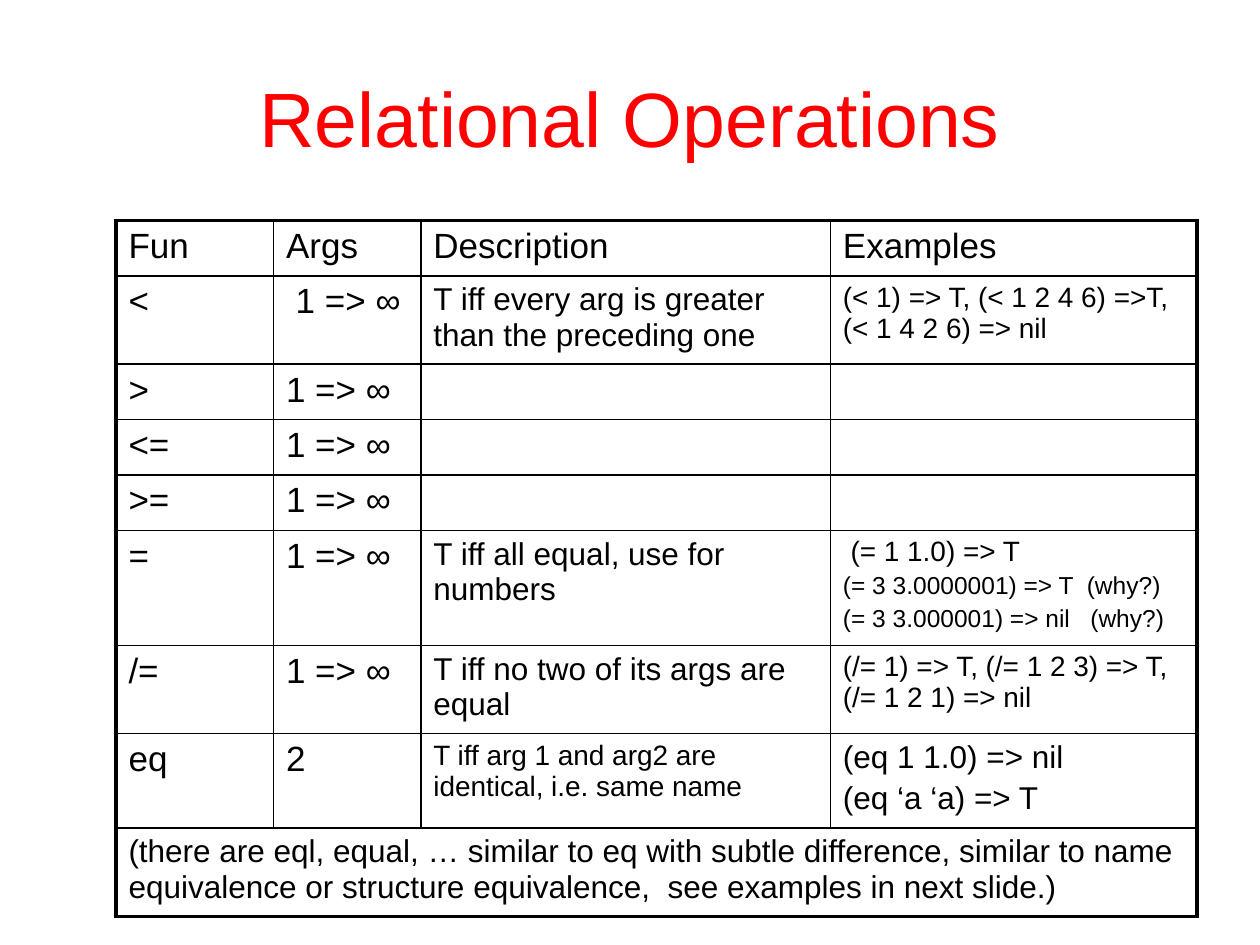
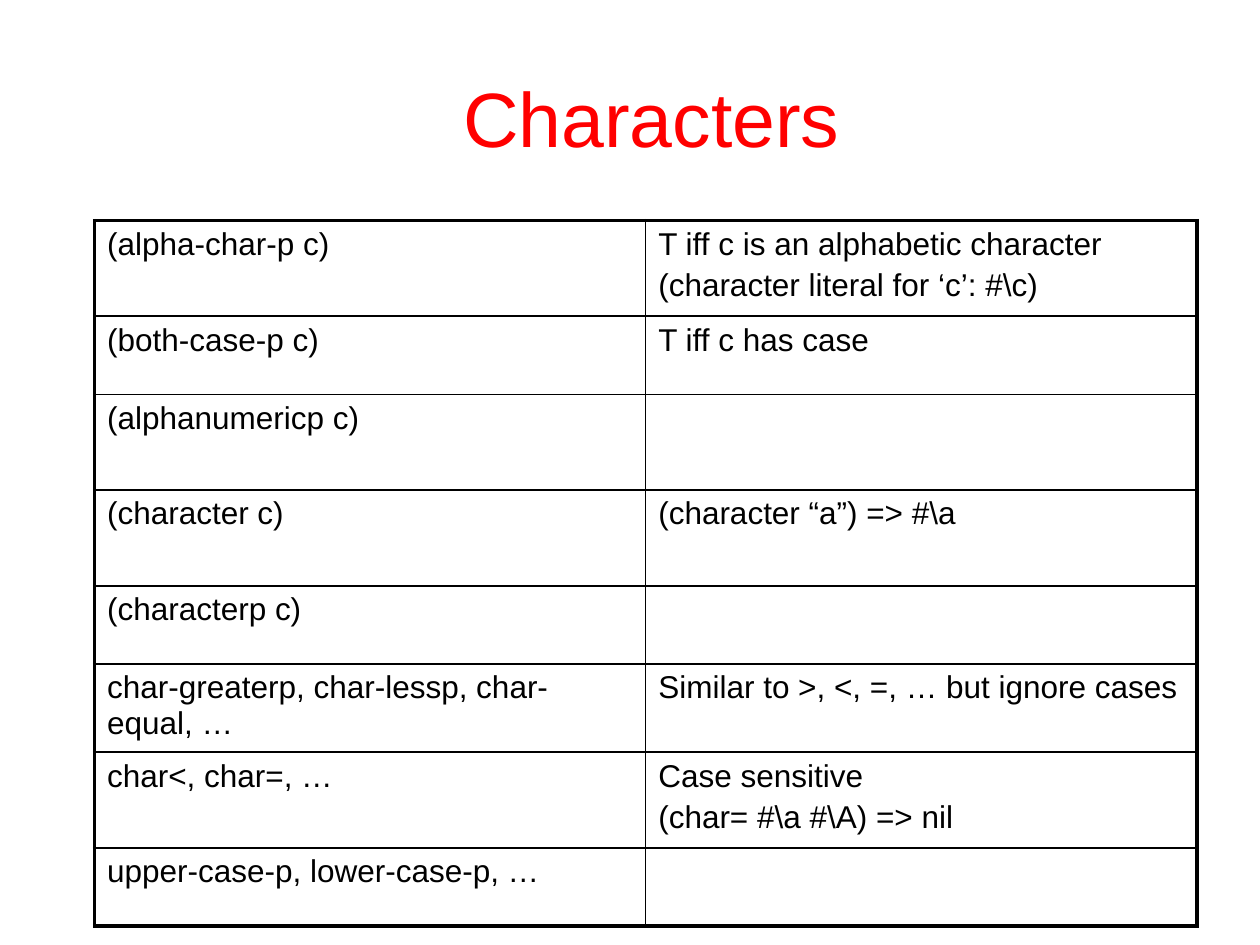
"""Build two slides of Lisp reference tables: relational operations and characters."""
from dataclasses import dataclass

from lxml import etree
from pptx import Presentation
from pptx import util as u
from pptx.dml.color import RGBColor
from pptx.enum import text
from pptx.oxml import ns


@dataclass(frozen=True)
class Theme:
    font: str = "Arial"
    title_color: str = "FF0000"
    ink: str = "000000"
    title: int = 44
    large: int = 20
    body: int = 18
    small: int = 16
    tiny: int = 14
    outer_line: float = 2.25
    inner_line: float = 1


theme = Theme()


def write_paragraph(paragraph, content, size, color):
    run = paragraph.add_run()
    run.text = content
    formats = {"name": theme.font, "size": u.Pt(size)}
    for name, value in formats.items():
        setattr(run.font, name, value)
    run.font.color.rgb = RGBColor.from_string(color)


def draw_borders(cell, edges):
    properties = cell._tc.get_or_add_tcPr()
    for position, (side, is_outer) in enumerate(edges.items()):
        width = theme.outer_line if is_outer else theme.inner_line
        line = etree.Element(ns.qn(f"a:ln{side}"), w=str(u.Pt(width)))
        fill = etree.SubElement(line, ns.qn("a:solidFill"))
        etree.SubElement(fill, ns.qn("a:srgbClr"), val=theme.ink)
        properties.insert(position, line)


any_count = "1 => ∞"
relational_rows = [
    ["Fun", "Args", "Description", "Examples"],
    ["<", " " + any_count,
     [(theme.body, "T iff every arg is greater than the preceding one")],
     [(theme.small, "(< 1) => T, (< 1 2 4 6) =>T, (< 1 4 2 6) => nil")]],
    [">", any_count, "", ""],
    ["<=", any_count, "", ""],
    [">=", any_count, "", ""],
    ["=", any_count,
     [(theme.body, "T iff all equal, use for numbers")],
     [(theme.small, " (= 1 1.0) => T"),
      (theme.tiny, "(= 3 3.0000001) => T  (why?)"),
      (theme.tiny, "(= 3 3.000001) => nil   (why?)")]],
    ["/=", any_count,
     [(theme.body, "T iff no two of its args are equal")],
     [(theme.small, "(/= 1) => T, (/= 1 2 3) => T, (/= 1 2 1) => nil")]],
    ["eq", "2",
     [(theme.small, "T iff arg 1 and arg2 are identical, i.e. same name")],
     [(theme.body, "(eq 1 1.0) => nil"), (theme.body, "(eq ‘a ‘a) => T")]],
    [[(theme.body, "(there are eql, equal, … similar to eq with subtle difference, "
       "similar to name equivalence or structure equivalence,  "
       "see examples in next slide.)")]],
]
character_rows = [
    ["(alpha-char-p c)",
     [(theme.body, "T iff c is an alphabetic character"),
      (theme.body, "(character literal for ‘c’: #\\c)")]],
    ["(both-case-p c)", "T iff c has case"],
    ["(alphanumericp c)", ""],
    ["(character c)", "(character “a”) => #\\a"],
    ["(characterp c)", ""],
    ["char-greaterp, char-lessp, char-equal, …", "Similar to >, <, =, … but ignore cases"],
    ["char<, char=, …",
     [(theme.body, "Case sensitive"), (theme.body, "(char= #\\a #\\A) => nil")]],
    ["upper-case-p, lower-case-p, …", ""],
]
pages = [
    {"title": "Relational Operations", "title_indent": 0, "left": 0.92,
     "widths": [1.25, 1.17, 3.25, 2.91], "size": theme.large, "rows": relational_rows,
     "heights": [0.44, 0.66, 0.44, 0.44, 0.44, 0.86, 0.66, 0.71, 0.66]},
    {"title": "Characters", "title_indent": 0.34, "left": 0.75,
     "widths": [4.375, 4.375], "size": theme.body, "rows": character_rows,
     "heights": [0.76, 0.62, 0.76, 0.76, 0.62, 0.7, 0.76, 0.62]},
]

presentation = Presentation()
presentation.slide_width = u.Inches(10)
presentation.slide_height = u.Inches(7.5)

for page in pages:
    slide = presentation.slides.add_slide(presentation.slide_layouts[6])
    title = slide.shapes.add_textbox(u.Inches(0.5), u.Inches(0.3), u.Inches(9), u.Inches(1.25))
    frame_formats = {
        "word_wrap": True,
        "vertical_anchor": text.MSO_ANCHOR.MIDDLE,
        "margin_left": u.Inches(0.1 + page["title_indent"]),
    }
    for name, value in frame_formats.items():
        setattr(title.text_frame, name, value)
    paragraph = title.text_frame.paragraphs[0]
    paragraph.alignment = text.PP_ALIGN.CENTER
    write_paragraph(paragraph, page["title"], theme.title, theme.title_color)

    rows, widths, heights = page["rows"], page["widths"], page["heights"]
    table = slide.shapes.add_table(
        len(rows), len(widths), u.Inches(page["left"]), u.Inches(1.75),
        u.Inches(sum(widths)), u.Inches(sum(heights))).table
    table.first_row = table.horz_banding = False
    for column, width in zip(table.columns, widths):
        column.width = u.Inches(width)
    for row, height in zip(table.rows, heights):
        row.height = u.Inches(height)

    for row_index, row_cells in enumerate(rows):
        if len(row_cells) == 1:
            table.cell(row_index, 0).merge(table.cell(row_index, len(widths) - 1))
        for column_index, content in enumerate(row_cells):
            cell = table.cell(row_index, column_index)
            cell.fill.background()
            draw_borders(cell, {
                "L": column_index == 0,
                "R": column_index == len(row_cells) - 1,
                "T": row_index == 0,
                "B": row_index == len(rows) - 1,
            })
            if isinstance(content, str):
                content = [(page["size"], content)] if content else []
            for line_index, (size, line) in enumerate(content):
                paragraph = cell.text_frame.paragraphs[0]
                if line_index:
                    paragraph = cell.text_frame.add_paragraph()
                    paragraph.space_before = u.Pt(0.2 * size)
                write_paragraph(paragraph, line, size, theme.ink)

presentation.save("out.pptx")
